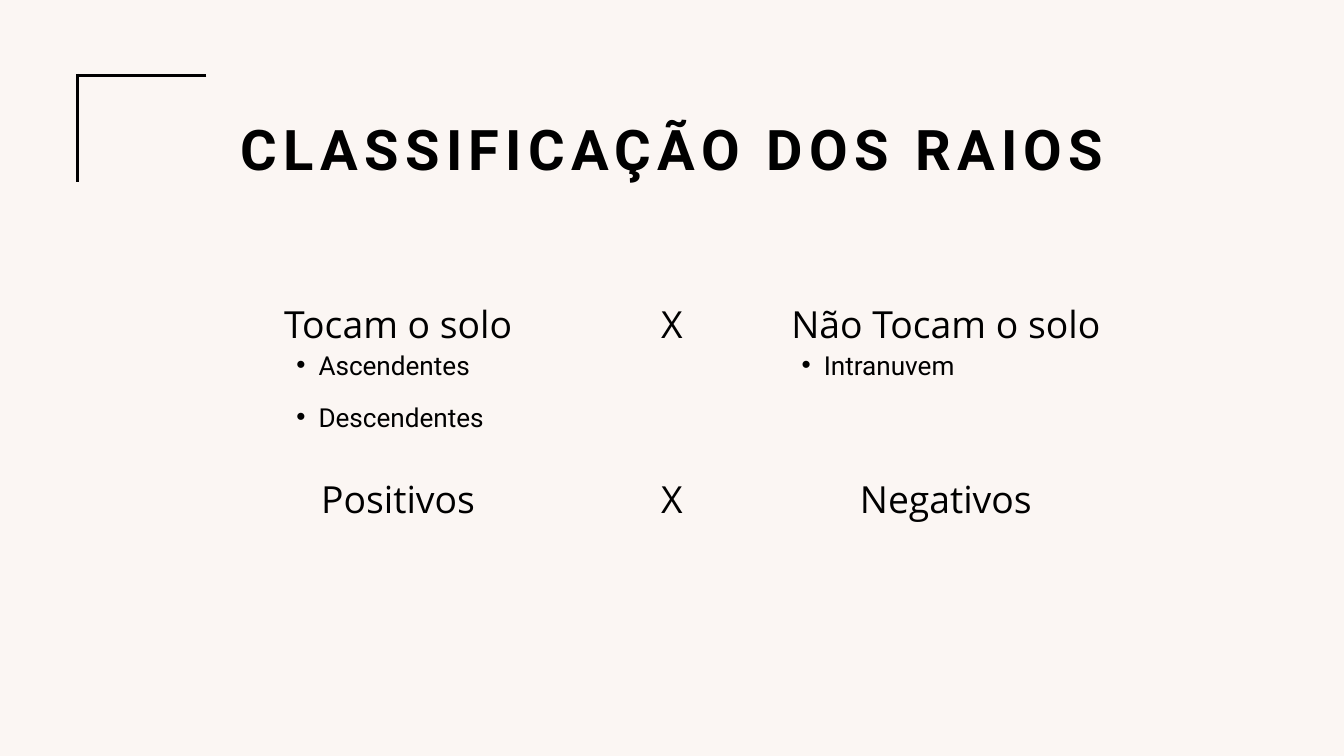
from lxml.etree import SubElement
from pptx import Presentation
from pptx.dml.color import RGBColor
from pptx.enum.shapes import MSO_CONNECTOR
from pptx.enum.text import MSO_ANCHOR, MSO_AUTO_SIZE, PP_ALIGN
from pptx.oxml.ns import qn
from pptx.util import Cm, Pt

COLORS = {"paper": "FBF6F3", "ink": "000000"}
HEAD, TEXT = "Roboto", "Open Sans"


def color(name):
    return RGBColor.from_string(COLORS[name])


def place(shape, box):
    """Put a shape in its box (cm) and return its cleared text frame."""
    shape.left, shape.top, shape.width, shape.height = map(Cm, box)
    frame = shape.text_frame
    frame.margin_left = frame.margin_right = 0
    frame.margin_top = frame.margin_bottom = 0
    frame.word_wrap = True
    frame.vertical_anchor = MSO_ANCHOR.TOP
    frame.auto_size = MSO_AUTO_SIZE.SHAPE_TO_FIT_TEXT
    return frame


def write(para, text, font, size, align, lead=56):
    para.alignment = align
    para.line_spacing = Pt(lead)
    para.space_before = para.space_after = Pt(0)
    run = para.add_run()
    run.text = text
    run.font.name, run.font.size = font, Pt(size)
    run.font.color.rgb = color("ink")
    return run


def add_title(shape, box, text):
    para = place(shape, box).paragraphs[0]
    run = write(para, text, HEAD, 60, PP_ALIGN.CENTER, 65.4)
    run.font.bold = True
    run._r.get_or_add_rPr().set("spc", "680")


def add_list(shape, box, items):
    frame = place(shape, box)
    for i, item in enumerate(items):
        para = frame.add_paragraph() if i else frame.paragraphs[0]
        para.level = 1
        props = para._p.get_or_add_pPr()
        props.set("marL", str(Cm(1.68)))
        props.set("indent", str(Cm(-0.84)))
        SubElement(props, qn("a:buFont")).set("typeface", "Arial")
        SubElement(props, qn("a:buChar")).set("char", "•")
        write(para, item, HEAD, 28, PP_ALIGN.LEFT)


def add_pair(slide, box, left, right):
    """Two opposed terms with an X in the gap between them."""
    x, y, width, height = box
    gap = 2.08
    side = (width - gap) / 2
    cells = [(left, x, side), ("X", x + side, gap),
             (right, x + side + gap, side)]
    for text, start, wide in cells:
        shape = slide.shapes.add_textbox(0, 0, 0, 0)
        frame = place(shape, (start, y, wide, height))
        write(frame.paragraphs[0], text, TEXT, 40, PP_ALIGN.CENTER)


def add_corner(slide, box):
    x, y, width, height = box
    ends = [(x + width, y + 0.06, x, y + 0.06), (x, y, x, y + height)]
    for points in ends:
        line = slide.shapes.add_connector(
            MSO_CONNECTOR.STRAIGHT, *map(Cm, points))
        line.line.color.rgb = color("ink")
        line.line.width = Pt(3)
        SubElement(line._element.spPr, qn("a:effectLst"))


def main():
    deck = Presentation()
    deck.slide_width, deck.slide_height = Cm(50.8), Cm(28.575)
    slide = deck.slides.add_slide(deck.slide_layouts[3])
    fill = slide.background.fill
    fill.solid()
    fill.fore_color.rgb = color("paper")
    title, first, second = slide.placeholders

    # Corner mark and title
    add_corner(slide, (2.92, 2.79, 4.88, 4.09))
    add_title(title, (8.69, 4.57, 33.45, 2.39), "CLASSIFICAÇÃO DOS RAIOS")

    # Opposed terms
    add_pair(slide, (5.74, 11.1, 39.32, 1.88),
             "Tocam o solo", "Não Tocam o solo")
    add_pair(slide, (5.74, 17.73, 39.32, 1.88), "Positivos", "Negativos")

    # Lists below the first pair
    add_list(first, (10.36, 12.4, 16.56, 3.71),
             ["Ascendentes", "Descendentes"])
    add_list(second, (29.46, 12.4, 15.6, 1.75), ["Intranuvem"])

    deck.save("out.pptx")


if __name__ == "__main__":
    main()
